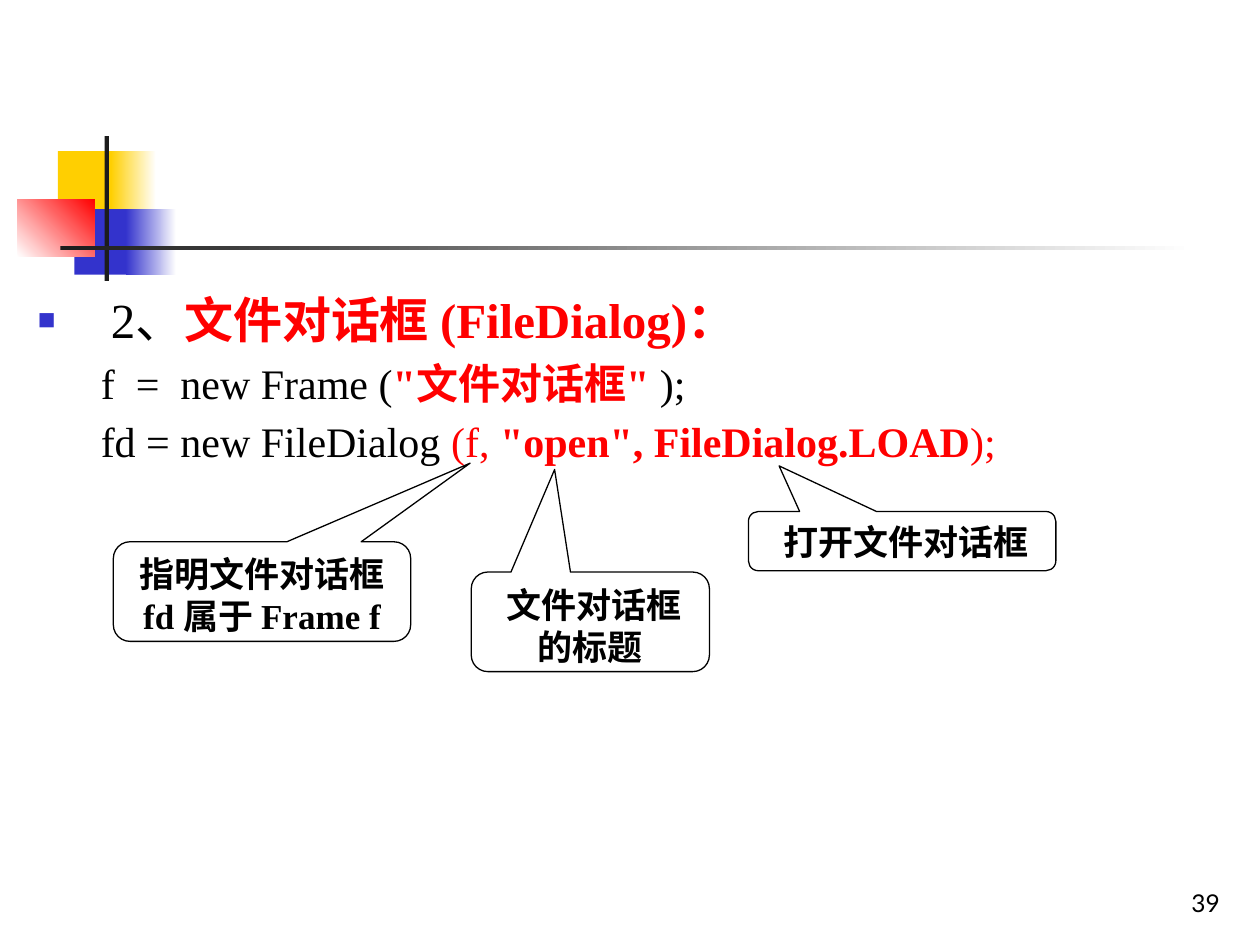
from lxml import etree
from pptx import Presentation
from pptx.dml.color import RGBColor
from pptx.enum.shapes import MSO_SHAPE
from pptx.enum.text import MSO_ANCHOR, MSO_AUTO_SIZE, PP_ALIGN
from pptx.oxml.ns import qn
from pptx.util import Inches, Pt

RECT = MSO_SHAPE.RECTANGLE
CALL = MSO_SHAPE.ROUNDED_RECTANGULAR_CALLOUT
TOP, BOTTOM = MSO_ANCHOR.TOP, MSO_ANCHOR.BOTTOM
CENTER, RIGHT = PP_ALIGN.CENTER, PP_ALIGN.RIGHT
FIXED = MSO_AUTO_SIZE.NONE
COLS, ROWS = 100, 75
BLACK, WHITE, RED = "000000", "FFFFFF", "FF0000"
GOLD, BLUE, DARK = "FFCF01", "3333CC", "1C1C1C"


def color(code):
    return RGBColor.from_string(code)


class Deck:
    serif, sans = "Times New Roman", "Lato"

    def __init__(self):
        self.prs = Presentation()
        self.prs.slide_width, self.prs.slide_height = Inches(10), Inches(7.5)
        self.slide = self.prs.slides.add_slide(self.prs.slide_layouts[1])
        title = self.slide.shapes.title.element
        title.getparent().remove(title)

    def place(self, box):
        wide = self.prs.slide_width / COLS
        high = self.prs.slide_height / ROWS
        return [round(n * unit) for n, unit in zip(box, (wide, high) * 2)]

    def style(self, font, size, name, bold=False):
        font.size, font.name, font.bold = Pt(size), name, bold
        font.color.rgb = color(BLACK)

    def shape(self, kind, box):
        item = self.slide.shapes.add_shape(kind, *self.place(box))
        item.shadow.inherit = False
        return item

    def block(self, box, start, end=None, angle=0):
        item = self.shape(RECT, box)
        item.line.fill.background()
        if end is None:
            item.fill.solid()
            item.fill.fore_color.rgb = color(start)
            return
        item.fill.gradient()
        item.fill.gradient_angle = angle
        for stop, code in zip(item.fill.gradient_stops, (start, end)):
            stop.color.rgb = color(code)

    def callout(self, box, tip, text):
        item = self.shape(CALL, box)
        item.fill.background()
        item.line.color.rgb = color(BLACK)
        item.line.width = Pt(0.75)
        for i, value in enumerate(tip):
            item.adjustments[i] = value
        frame = item.text_frame
        frame.word_wrap, frame.vertical_anchor = True, TOP
        para = frame.paragraphs[0]
        para.text, para.alignment = text, CENTER
        self.style(para.font, 20, self.serif, True)

    def number(self, box, text):
        frame = self.slide.shapes.add_textbox(*self.place(box)).text_frame
        frame.word_wrap, frame.vertical_anchor = True, BOTTOM
        para = frame.paragraphs[0]
        para.text, para.alignment = text, RIGHT
        self.style(para.font, 14, self.sans)

    def bullet(self, para, left, hang, mark):
        props = para._p.get_or_add_pPr()
        props.set("marL", str(Inches(left)))
        props.set("indent", str(-Inches(hang)))
        if not mark:
            etree.SubElement(props, qn("a:buNone"))
            return
        tint = etree.SubElement(props, qn("a:buClr"))
        etree.SubElement(tint, qn("a:srgbClr"), val=BLUE)
        etree.SubElement(props, qn("a:buSzPct"), val="60000")
        etree.SubElement(props, qn("a:buChar"), char=mark)

    def body(self, box, lines):
        item = self.slide.placeholders[1]
        item.left, item.top, item.width, item.height = self.place(box)
        frame = item.text_frame
        frame.auto_size = FIXED
        for i, runs in enumerate(lines):
            para = frame.add_paragraph() if i else frame.paragraphs[0]
            para.level = min(i, 1)
            self.style(para.font, 24 if i else 28, self.serif)
            if i:
                self.bullet(para, 1, 0.5, None)
            else:
                self.bullet(para, 0.58, 0.58, "■")
            for text, code, bold in runs:
                run = para.add_run()
                run.text, run.font.bold = text, bold
                run.font.color.rgb = color(code)


def main():
    deck = Deck()
    for box, *fill in (
        ((4.6, 12, 4.8, 5.2), GOLD),
        ((8.8, 12, 3.6, 5.2), GOLD, WHITE),
        ((5.9, 16.6, 4.6, 5.2), BLUE),
        ((10, 16.6, 4, 5.2), BLUE, WHITE),
        ((1.4, 15.8, 6.1, 4.6), WHITE, RED, 45),
        ((8.3, 10.8, 0.35, 11.5), DARK),
        ((4.8, 19.5, 90, 0.35), DARK, WHITE),
    ):
        deck.block(box, *fill)
    deck.number((77, 68.3, 20.8, 5), "39")
    deck.body((2, 22.5, 96.5, 48), (
        (("2、", BLACK, False), ("文件对话框 (FileDialog)：", RED, True)),
        (("f  =  new Frame (", BLACK, False),
         ("\"文件对话框\" ", RED, True), (");", BLACK, False)),
        (("fd = new FileDialog ", BLACK, False), ("(f, ", RED, False),
         ("\"open\", FileDialog.LOAD", RED, True), (");", RED, False)),
    ))
    for box, tip, text in (
        ((9, 43, 23.6, 7.9), (0.7, -1.29), "指明文件对话框 fd 属于 Frame f"),
        ((37.4, 45.4, 18.9, 7.9), (-0.15, -1.53), " 文件对话框的标题"),
        ((59.4, 40.6, 24.4, 4.7), (-0.4, -1.27), " 打开文件对话框"),
    ):
        deck.callout(box, tip, text)
    deck.prs.save("out.pptx")


if __name__ == "__main__":
    main()
